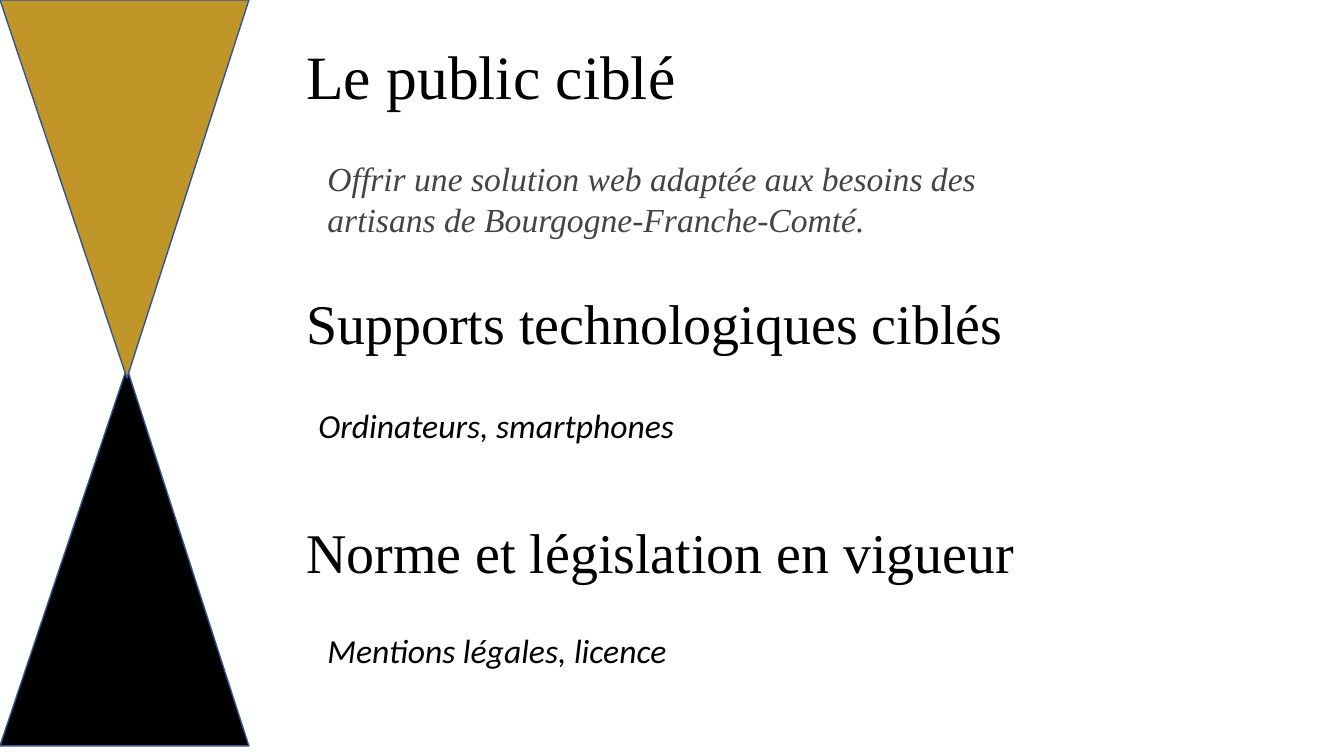
from dataclasses import dataclass

from pptx import Presentation
from pptx import util as u
from pptx.dml import color
from pptx.enum import shapes, text

COLORS = {
    "black": "000000",
    "gold": "C09628",
    "outline": "325491",
    "gray": "444444",
    "white": "FFFFFF",
}
SERIF = "Times New Roman"
SANS = "Calibri"


@dataclass(frozen=True)
class Triangle:
    top: float
    fill: str
    rotation: float
    apex: float


@dataclass(frozen=True)
class Section:
    heading: str
    heading_top: float
    heading_size: float
    heading_width: float
    heading_height: float
    body: str
    body_left: float
    body_top: float
    body_height: float
    body_font: str
    body_color: str


TRIANGLES = [
    Triangle(262.8, "black", 0, 0.51),
    Triangle(0, "gold", 180, 0.49),
]

SECTIONS = [
    Section("Le public ciblé", 23.8, 44, 355, 60.5,
            "Offrir une solution web adaptée aux besoins des artisans de "
            "Bourgogne-Franche-Comté.", 226.8, 109.4, 65.5, SERIF, "gray"),
    Section("Supports technologiques ciblés", 202.3, 40, 665.3, 55.4,
            "Ordinateurs, smartphones", 220.3, 285.8, 36, SANS, "black"),
    Section("Norme et législation en vigueur", 365.8, 40, 691.9, 55.4,
            "Mentions légales, licence", 226.8, 446.4, 36, SANS, "black"),
]


def rgb(name: str) -> color.RGBColor:
    return color.RGBColor.from_string(COLORS[name])


def add_triangle(slide, triangle: Triangle) -> None:
    shape = slide.shapes.add_shape(
        shapes.MSO_SHAPE.ISOSCELES_TRIANGLE,
        u.Pt(0), u.Pt(triangle.top), u.Pt(177.8), u.Pt(270))
    shape.adjustments[0] = triangle.apex
    shape.rotation = triangle.rotation
    shape.shadow.inherit = False
    shape.fill.solid()
    shape.fill.fore_color.rgb = rgb(triangle.fill)
    shape.line.color.rgb = rgb("outline")
    shape.line.width = u.Pt(1)


def add_text(slide, content: str, *, left: float, top: float, width: float,
             height: float, size: float, font: str = SERIF,
             fill: str = "black", italic: bool = False) -> None:
    box = slide.shapes.add_textbox(u.Pt(left), u.Pt(top), u.Pt(width), u.Pt(height))
    frame = box.text_frame
    frame.word_wrap = True
    frame.auto_size = text.MSO_AUTO_SIZE.SHAPE_TO_FIT_TEXT
    run = frame.paragraphs[0].add_run()
    run.text = content
    run.font.name = font
    run.font.size = u.Pt(size)
    run.font.italic = italic
    run.font.color.rgb = rgb(fill)


def add_section(slide, section: Section) -> None:
    add_text(slide, section.heading, left=211.7, top=section.heading_top,
             width=section.heading_width, height=section.heading_height,
             size=section.heading_size)
    add_text(slide, section.body, left=section.body_left, top=section.body_top,
             width=548.6, height=section.body_height, size=24,
             font=section.body_font, fill=section.body_color, italic=True)


def main() -> None:
    presentation = Presentation()
    presentation.slide_width = u.Pt(960)
    presentation.slide_height = u.Pt(540)
    slide = presentation.slides.add_slide(presentation.slide_layouts[6])
    slide.background.fill.solid()
    slide.background.fill.fore_color.rgb = rgb("white")
    for triangle in TRIANGLES:
        add_triangle(slide, triangle)
    for section in SECTIONS:
        add_section(slide, section)
    presentation.save("out.pptx")


if __name__ == "__main__":
    main()
